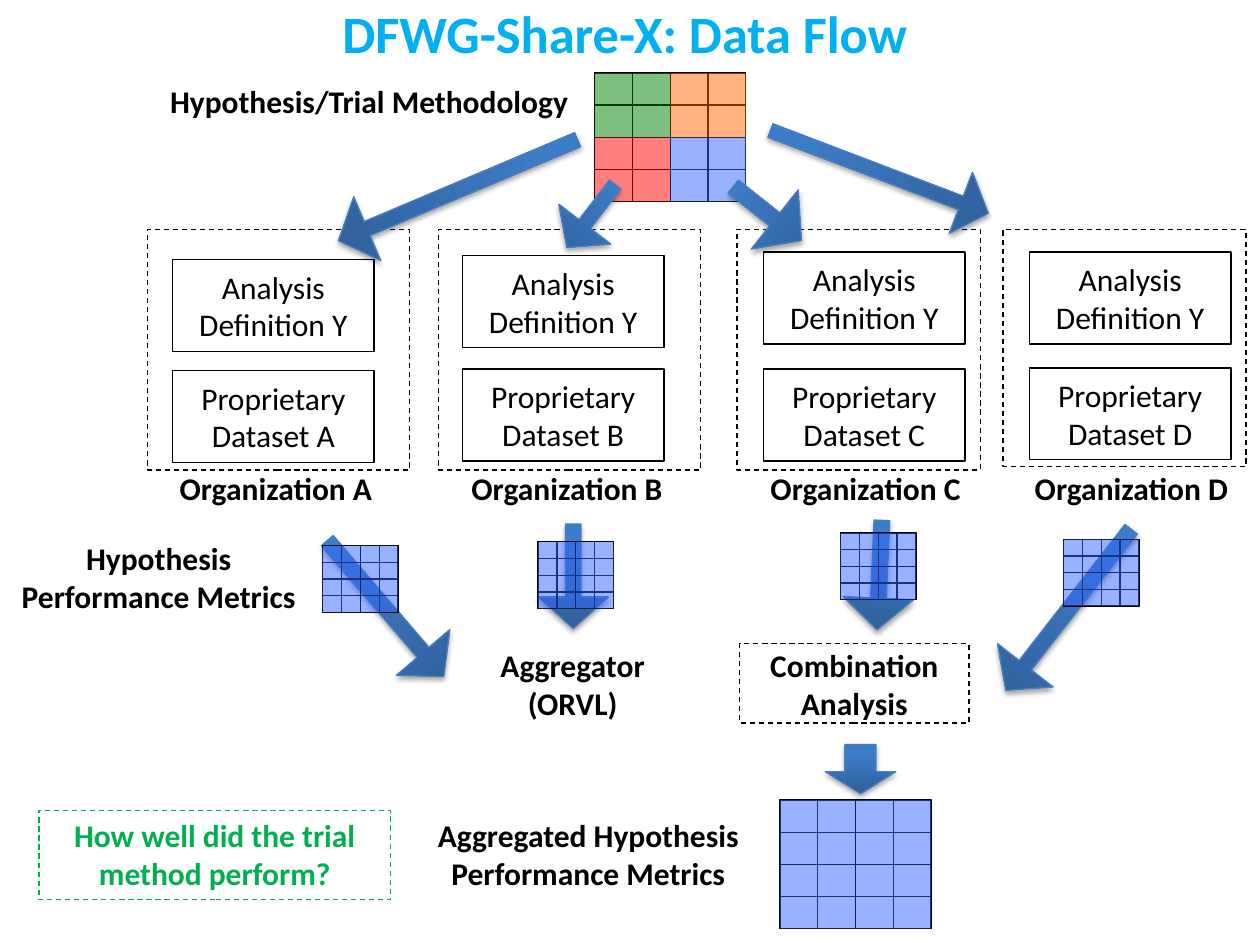
from copy import deepcopy
from dataclasses import dataclass

from pptx import Presentation
from pptx.dml.color import RGBColor
from pptx.enum.dml import MSO_LINE
from pptx.enum.shapes import MSO_SHAPE as Shape
from pptx.enum.text import MSO_ANCHOR as Anchor, MSO_AUTO_SIZE as AutoSize, PP_ALIGN as Align
from pptx.oxml.ns import qn
from pptx.util import Inches, Pt
from lxml.etree import SubElement


@dataclass(frozen=True)
class Theme:
    font: str = "Calibri"
    title_size: int = 30
    body_size: int = 18
    line_width: float = 0.75
    ink: str = "000000"
    title: str = "00B0F0"
    question: str = "00B050"
    blue: str = "3366FF"
    green: str = "008000"
    orange: str = "FF6600"
    red: str = "FF0000"
    arrow_line: str = "4B7EBC"
    arrow_stops: tuple = ((0, "2F5F99"), (80, "3D7CC7"), (100, "3A7CCB"))


THEME = Theme()
BLUES = (THEME.blue,) * 4


def apply(target, values):
    for name, value in values.items():
        setattr(target, name, value)


def rgb(color):
    return RGBColor.from_string(color)


def inches(box):
    return [Inches(length) for length in box]


def write(holder, text, color=THEME.ink, bold=False, size=THEME.body_size, **frame_values):
    frame = holder.text_frame
    frame.text = text
    apply(frame, {"word_wrap": True, **frame_values})
    for paragraph in frame.paragraphs:
        paragraph.alignment = Align.CENTER
        apply(paragraph.font, {"name": THEME.font, "size": Pt(size), "bold": bold})
        paragraph.font.color.rgb = rgb(color)


def outline(shape, color, dashed=False):
    shape.line.color.rgb = rgb(color)
    shape.line.width = Pt(THEME.line_width)
    if dashed:
        shape.line.dash_style = MSO_LINE.DASH


def add_frame(shapes, box, color=THEME.ink, dashed=False):
    frame = shapes.add_shape(Shape.RECTANGLE, *inches(box))
    frame.shadow.inherit = False
    frame.fill.background()
    outline(frame, color, dashed)
    return frame


def add_label(shapes, box, text):
    label = shapes.add_textbox(*inches(box))
    write(label, text, bold=True, auto_size=AutoSize.SHAPE_TO_FIT_TEXT)


def add_tint(shapes, box, color):
    tint = shapes.add_shape(Shape.RECTANGLE, *inches(box))
    tint.shadow.inherit = False
    tint.fill.solid()
    tint.fill.fore_color.rgb = rgb(color)
    tint.line.fill.background()
    srgb = tint.fill._xPr.find(".//" + qn("a:srgbClr"))
    SubElement(srgb, qn("a:alpha"), val="50000")


def add_matrix(shapes, box, colors):
    left, top, width, height = box
    parts = shapes.add_group_shape().shapes
    for i in range(4):
        add_frame(parts, (left + i * width / 4, top, width / 4, height))
    for i in range(4):
        add_frame(parts, (left, top + i * height / 4, width, height / 4))
    for i, color in enumerate(colors):
        row, column = divmod(i, 2)
        add_tint(parts, (left + column * width / 2, top + row * height / 2,
                         width / 2, height / 2), color)


def add_arrow(shapes, box, rotation=0, shaft=0.22):
    arrow = shapes.add_shape(Shape.DOWN_ARROW, *inches(box))
    arrow.rotation = rotation
    arrow.adjustments[0] = shaft
    arrow.adjustments[1] = 0.45
    arrow.fill.gradient()
    arrow.fill.gradient_angle = 90
    properties = arrow._element.spPr
    stops = properties.find(".//" + qn("a:gsLst"))
    for stop in list(stops):
        stops.remove(stop)
    for position, color in THEME.arrow_stops:
        stop = SubElement(stops, qn("a:gs"), pos=str(position * 1000))
        SubElement(stop, qn("a:srgbClr"), val=color)
    outline(arrow, THEME.arrow_line)
    arrow.shadow.inherit = False
    shadow = SubElement(properties.find(qn("a:effectLst")), qn("a:outerShdw"),
                        blurRad=str(Pt(3.1)), dist=str(Pt(1.8)), dir="5400000", rotWithShape="0")
    tone = SubElement(shadow, qn("a:srgbClr"), val=THEME.ink)
    SubElement(tone, qn("a:alpha"), val="35000")


def add_organization(shapes, box, letter, inset, analysis_drop, dataset_drop):
    left, top, width, height = box
    add_frame(shapes, box, dashed=True)
    for text, drop in ((f"Proprietary Dataset {letter}", dataset_drop),
                       ("Analysis Definition Y", analysis_drop)):
        write(add_frame(shapes, (left + inset, top + drop, 1.6, 0.73)), text,
              vertical_anchor=Anchor.MIDDLE)
    add_label(shapes, (left + 0.1, top + 1.85, 1.84, 0.4), f"Organization {letter}")


def add_title(slide, box, text):
    title = slide.shapes.title
    apply(title, dict(zip(("left", "top", "width", "height"), inches(box))))
    write(title, text, THEME.title, True, THEME.title_size,
          vertical_anchor=Anchor.MIDDLE, auto_size=AutoSize.NONE)


def add_hypothesis(shapes, box):
    left, top, width, height = box
    add_label(shapes, (left, top + 0.02, 3.52, 0.4), "Hypothesis/Trial Methodology")
    add_matrix(shapes, (left + 3.55, top, 1.2, height),
               (THEME.green, THEME.orange, THEME.red, THEME.blue))
    for x, y, arrow_width, length, rotation in (
            (3.26, 0.82, 0.52, 0.63, 37.5), (2.19, -0.1, 0.55, 2.06, 67.1),
            (5.55, -0.14, 0.52, 1.85, 290.8), (4.62, 0.77, 0.6, 0.69, 308.4)):
        add_arrow(shapes, (left + x, top + y, arrow_width, length), rotation)


def add_metrics(shapes, box):
    left, top, width, height = box
    add_label(shapes, (left, top + 0.2, 2.56, 0.71), "Hypothesis Performance Metrics")
    for x, y, length, rotation in ((8.22, 0, 1.62, 37.9), (2.8, 0.09, 1.42, 319.4),
                                   (4.29, 0.13, 0.83, 0), (6.72, 0.1, 0.87, 2.6)):
        add_arrow(shapes, (left + x, top + y, 0.56, length), rotation)
    for x, y in ((2.58, 0.3), (4.29, 0.27), (6.69, 0.2), (8.46, 0.25)):
        add_matrix(shapes, (left + x, top + y, 0.6, 0.53), BLUES)


def add_aggregation(shapes, box):
    left, top, width, height = box
    add_frame(shapes, (left + 2.76, top + 0.03, 1.82, 0.63), dashed=True)
    for x, y, label_width, text in ((0, 0, 2.87, "Aggregator\n(ORVL)"),
                                    (2.76, 0, 1.82, "Combination Analysis"),
                                    (0.14, 1.35, 2.84, "Aggregated Hypothesis Performance Metrics")):
        add_label(shapes, (left + x, top + y, label_width, 0.71), text)
    add_arrow(shapes, (left + 3.44, top + 0.83, 0.56, 0.39), shaft=0.44)
    add_matrix(shapes, (left + 3.08, top + 1.27, 1.2, 1.02), BLUES)


def add_question(shapes, box):
    question = add_frame(shapes, box, THEME.question, dashed=True)
    write(question, "How well did the trial method perform?", THEME.question, True,
          auto_size=AutoSize.SHAPE_TO_FIT_TEXT, vertical_anchor=Anchor.TOP)


def build_data_flow(deck):
    slide = deck.slides.add_slide(deck.slide_layouts[5])
    shapes = slide.shapes
    for left, width, height, *content in (
            (1.17, 2.08, 1.91, "A", 0.2, 0.24, 1.12), (3.48, 2.08, 1.91, "B", 0.19, 0.21, 1.11),
            (5.85, 1.93, 1.91, "C", 0.21, 0.18, 1.11), (7.96, 1.93, 1.88, "D", 0.21, 0.18, 1.1)):
        add_organization(shapes, (left, 1.82, width, height), *content)
    add_hypothesis(shapes, (1.17, 0.58, 6.7, 1.02))
    add_metrics(shapes, (-0.02, 4.03, 9.1, 1.62))
    add_aggregation(shapes, (3.11, 5.08, 4.58, 2.29))
    add_question(shapes, (0.31, 6.43, 2.79, 0.71))
    add_title(slide, (-0.04, -0.01, 10, 0.53), "DFWG-Share-X: Data Flow")


deck = Presentation()
apply(deck, {"slide_width": Inches(10), "slide_height": Inches(7.5)})
build_data_flow(deck)
deck.save("out.pptx")
